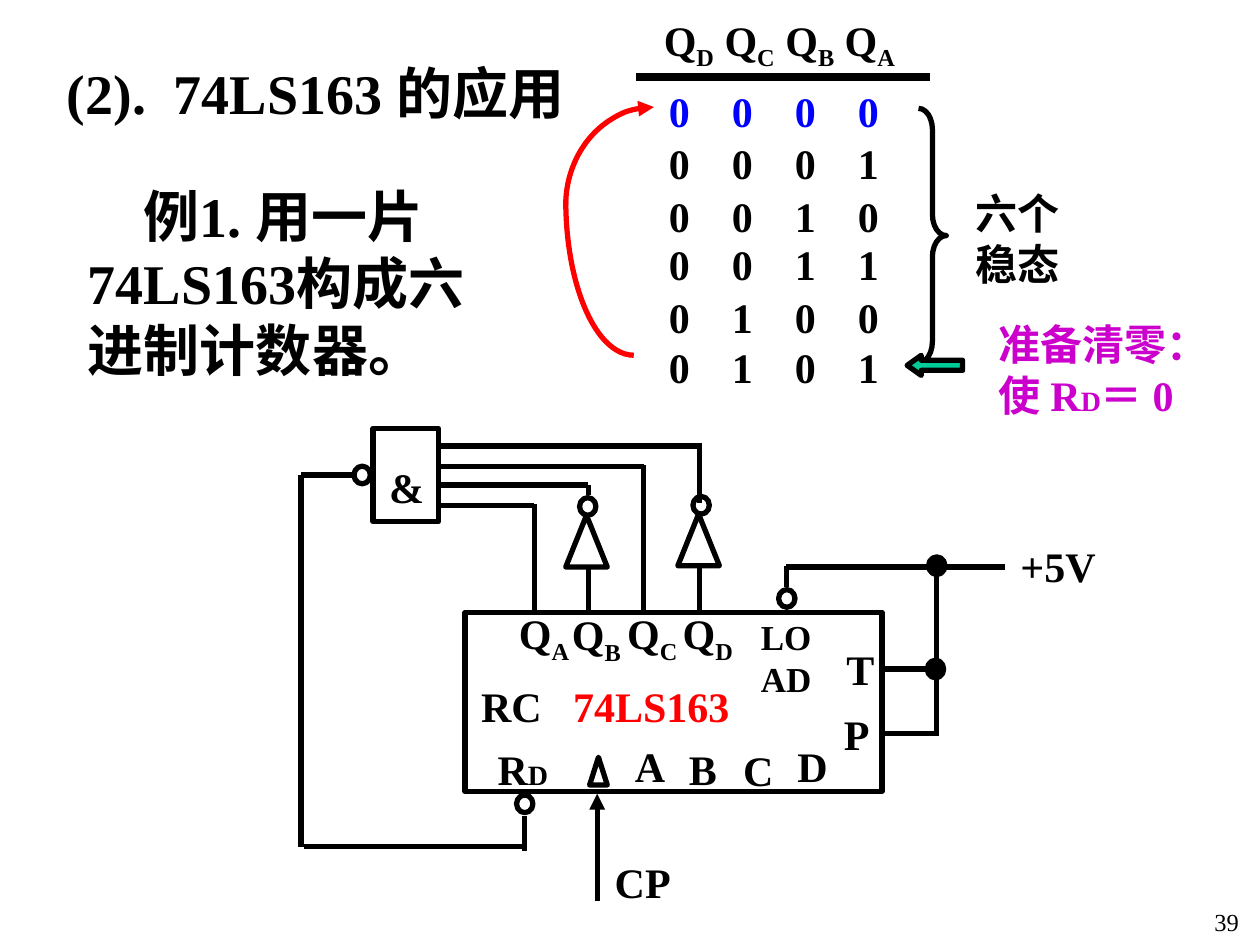
from dataclasses import dataclass
from typing import Any, NamedTuple, Optional

import lxml.etree
import pptx
import pptx.dml.color
import pptx.enum.shapes
import pptx.enum.text
import pptx.oxml.ns
import pptx.util

Inches = pptx.util.Inches
Kind = pptx.enum.shapes.MSO_SHAPE
Align = pptx.enum.text.PP_ALIGN
Anchor = pptx.enum.text.MSO_ANCHOR
Fit = pptx.enum.text.MSO_AUTO_SIZE


@dataclass(frozen=True)
class Theme:
    font: str = "Times New Roman"
    black: str = "000000"
    blue: str = "0000FF"
    red: str = "FF0000"
    green: str = "00CC99"
    purple: str = "CC00CC"
    head: int = 32
    body: int = 24
    load: int = 20
    small: int = 16
    page: int = 14
    thin: float = 3
    thick: float = 4.5


THEME = Theme()


class Box(NamedTuple):
    left: float
    top: float
    width: float
    height: float


class Run(NamedTuple):
    text: str
    size: int = THEME.body
    sub: bool = False


class Label(NamedTuple):
    box: Box
    runs: list[Run]
    color: str = THEME.black
    tabs: tuple[float, ...] = ()
    indent: float = 0


class Wire(NamedTuple):
    x1: float
    y1: float
    x2: float
    y2: float


class Part(NamedTuple):
    kind: Any
    box: Box
    fill: Optional[str] = None
    line: str = THEME.black
    adjust: tuple[float, ...] = ()
    arrow: bool = False


def tone(code: str) -> Any:
    return pptx.dml.color.RGBColor.from_string(code)


def place(box: Box) -> list[int]:
    return [Inches(side) for side in box]


def child(node: Any, tag: str, **values: str) -> Any:
    return lxml.etree.SubElement(node, pptx.oxml.ns.qn(tag), **values)


def add_tip(shape: Any) -> None:
    child(shape._element.spPr.get_or_add_ln(), "a:tailEnd", type="triangle")


def write(shape: Any, label: Label, bold: bool = True) -> Any:
    """Fill a text shape run by run and return its paragraph."""
    frame = shape.text_frame
    frame.word_wrap = True
    frame.auto_size = Fit.SHAPE_TO_FIT_TEXT
    frame.vertical_anchor = Anchor.MIDDLE
    para = frame.paragraphs[0]
    para.alignment = Align.LEFT
    props = para._p.get_or_add_pPr()
    if label.indent:
        props.set("marL", "0")
        props.set("indent", str(Inches(label.indent)))
    if label.tabs:
        stops = child(props, "a:tabLst")
        for stop in label.tabs:
            child(stops, "a:tab", pos=str(Inches(stop)), algn="l")
    for item in label.runs:
        run = para.add_run()
        run.text = item.text
        font = run.font
        font.name, font.bold = THEME.font, bold
        font.size = pptx.util.Pt(item.size)
        font.color.rgb = tone(label.color)
        if item.sub:
            font._element.set("baseline", "-25000")
    return para


def add_label(slide: Any, label: Label, bold: bool = True) -> Any:
    return write(slide.shapes.add_textbox(*place(label.box)), label, bold)


def add_part(slide: Any, part: Part) -> None:
    shape = slide.shapes.add_shape(part.kind, *place(part.box))
    shape.shadow.inherit = False
    for index, value in enumerate(part.adjust):
        shape.adjustments[index] = value
    if part.fill:
        shape.fill.solid()
        shape.fill.fore_color.rgb = tone(part.fill)
    else:
        shape.fill.background()
    shape.line.color.rgb = tone(part.line)
    shape.line.width = pptx.util.Pt(THEME.thin)
    if part.arrow:
        add_tip(shape)


def add_wire(slide: Any, wire: Wire, width: float = THEME.thin, arrow: bool = False) -> None:
    link = slide.shapes.add_connector(
        pptx.enum.shapes.MSO_CONNECTOR.STRAIGHT, *[Inches(end) for end in wire])
    link.line.color.rgb = tone(THEME.black)
    link.line.width = pptx.util.Pt(width)
    if arrow:
        add_tip(link)
    child(link._element.spPr, "a:effectLst")


def pin(name: str, lead: str = "") -> list[Run]:
    return [Run(lead + "Q"), Run(name, sub=True)]


# State table: top of each row and its bits
ROWS = [(0.63, "0000"), (1.04, "0001"), (1.46, "0010"),
        (1.84, "0011"), (2.26, "0100"), (2.66, "0101")]

NOTES = [
    Label(Box(0.6, 1.39, 3.4, 1.7),
          [Run("例1. 用一片74LS163构成六进制计数器。", THEME.head)], indent=0.44),
    Label(Box(5.17, 0.06, 2.37, 0.56),
          pin("D") + pin("C", " ") + pin("B", " ") + pin("A", " ")),
    Label(Box(7.64, 1.44, 0.95, 0.9), [Run("六个 稳态")]),
    Label(Box(7.83, 2.48, 2.14, 0.9),
          [Run("准备清零： 使 R"), Run("D", THEME.small), Run("＝ 0")], THEME.purple),
]

# Chip labels: text, left, top, width
NAMES = [("T", 6.62, 5.06, 0.54), ("P", 6.6, 5.57, 0.54), ("RC", 3.72, 5.35, 0.79),
         ("A", 4.94, 5.83, 0.36), ("B", 5.37, 5.85, 0.36), ("C", 5.8, 5.86, 0.44),
         ("D", 6.23, 5.83, 0.36), ("&", 2.99, 3.61, 0.43), ("+5V", 8, 4.24, 0.98),
         ("CP", 4.78, 6.75, 0.85)]
CHIP = [
    Label(Box(5.94, 4.83, 0.61, 0.77), [Run("LOAD", THEME.load)]),
    Label(Box(3.85, 5.85, 0.79, 0.5), [Run("R"), Run("D", THEME.small)]),
    Label(Box(4.45, 5.35, 1.45, 0.5), [Run("74LS163")], THEME.red),
]
PINS = [("A", 4.02, 4.77), ("B", 4.44, 4.78), ("C", 4.88, 4.77), ("D", 5.32, 4.77)]

PARTS = [
    # Brace, pointer and loop back to the first state
    Part(Kind.RIGHT_BRACE, Box(7.29, 0.86, 0.22, 2.02), adjust=(0.77, 0.5)),
    Part(Kind.LEFT_ARROW, Box(7.2, 2.82, 0.44, 0.16), THEME.green, adjust=(0.5, 0.7)),
    Part(Kind.ARC, Box(4.49, 0.85, 1.4, 1.56), line=THEME.red, adjust=(108, 162), arrow=True),
    Part(Kind.ARC, Box(4.49, 0.36, 1.08, 2.46), line=THEME.red, adjust=(54, 108)),
    # Chip, clock mark, gate and inverters
    Part(Kind.RECTANGLE, Box(3.69, 4.86, 3.31, 1.42)),
    Part(Kind.ISOSCELES_TRIANGLE, Box(4.68, 6.01, 0.14, 0.22)),
    Part(Kind.RECTANGLE, Box(2.96, 3.4, 0.52, 0.74)),
    Part(Kind.ISOSCELES_TRIANGLE, Box(4.49, 4.09, 0.33, 0.41)),
    Part(Kind.ISOSCELES_TRIANGLE, Box(5.38, 4.08, 0.33, 0.41)),
]
RINGS = [(4.1, 6.31), (6.18, 4.68), (2.81, 3.7), (4.6, 3.95), (5.5, 3.94)]
DOTS = [(7.37, 4.42), (7.36, 5.24)]

WIRES = [
    # Outputs to the gate
    Wire(4.24, 4, 4.24, 4.87), Wire(3.5, 4.01, 4.24, 4.01),
    Wire(4.67, 4.52, 4.67, 4.86), Wire(4.67, 3.85, 4.67, 3.93), Wire(3.5, 3.85, 4.67, 3.85),
    Wire(5.11, 3.69, 5.11, 4.84), Wire(3.5, 3.7, 5.11, 3.7),
    Wire(5.55, 4.49, 5.55, 4.86), Wire(5.55, 3.52, 5.55, 3.99), Wire(3.5, 3.54, 5.55, 3.54),
    # Supply
    Wire(6.24, 4.49, 6.24, 4.66), Wire(6.24, 4.5, 7.98, 4.5), Wire(7.43, 4.5, 7.43, 5.84),
    Wire(7, 5.31, 7.41, 5.31), Wire(7, 5.82, 7.45, 5.82),
    # Gate to reset
    Wire(2.39, 3.77, 2.79, 3.77), Wire(2.39, 3.77, 2.39, 6.72),
    Wire(2.41, 6.72, 4.18, 6.72), Wire(4.16, 6.48, 4.16, 6.75),
]


def main() -> None:
    deck = pptx.Presentation()
    deck.slide_width, deck.slide_height = Inches(10), Inches(7.5)
    slide = deck.slides.add_slide(deck.slide_layouts[5])

    # Title
    title = slide.shapes.title
    box = Box(0.43, 0.15, 4.26, 1.17)
    title.left, title.top, title.width, title.height = place(box)
    write(title, Label(box, [Run("(2).\t74LS163 的应用", THEME.head)], tabs=(0.85,)))

    # Drawing
    for part in PARTS:
        add_part(slide, part)
    for spots, fill in ((RINGS, None), (DOTS, THEME.black)):
        for left, top in spots:
            add_part(slide, Part(Kind.OVAL, Box(left, top, 0.13, 0.14), fill))
    for wire in WIRES:
        add_wire(slide, wire)
    add_wire(slide, Wire(5.05, 0.61, 7.38, 0.61), THEME.thick)
    add_wire(slide, Wire(4.74, 7.15, 4.74, 6.3), arrow=True)

    # Text
    for index, (top, bits) in enumerate(ROWS):
        color = THEME.black if index else THEME.blue
        add_label(slide, Label(Box(5.21, top, 2.04, 0.5), [Run("\t".join(bits))],
                               color, (0.5, 1, 1.5)))
    for label in NOTES + CHIP:
        add_label(slide, label)
    for text, left, top, width in NAMES:
        add_label(slide, Label(Box(left, top, width, 0.5), [Run(text)]))
    for name, left, top in PINS:
        add_label(slide, Label(Box(left, top, 0.7, 0.56), pin(name)))
    page = add_label(slide, Label(Box(7.85, 7.15, 2.08, 0.33), [Run("39", THEME.page)]), False)
    page.alignment = Align.RIGHT

    deck.save("out.pptx")


if __name__ == "__main__":
    main()
